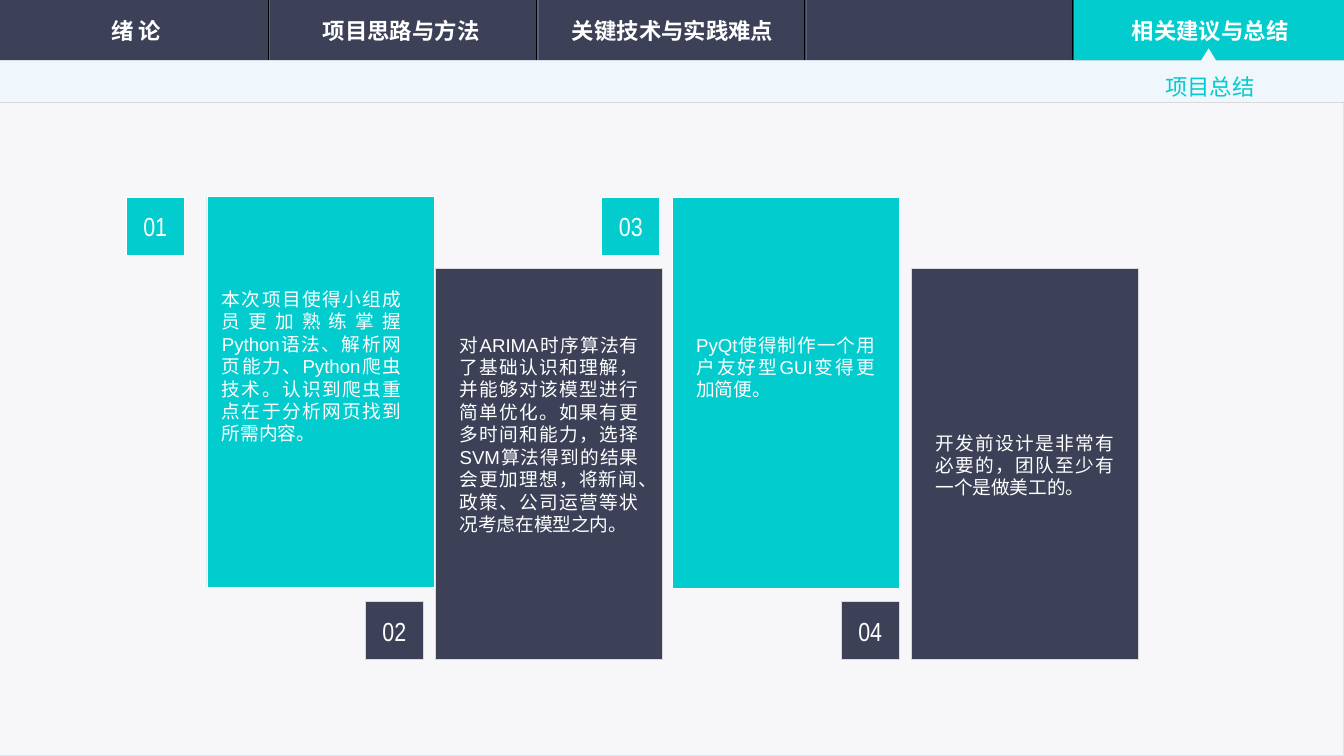
from dataclasses import dataclass
from lxml import etree
from pptx import Presentation
from pptx import util as u
from pptx.dml.color import RGBColor
from pptx.enum import shapes, text
from pptx.oxml.ns import qn


@dataclass(frozen=True)
class Theme:
    """Colours, fonts and type sizes of the slide."""
    teal: str = "03CCCE"
    navy: str = "3C4157"
    slate: str = "3B445B"
    white: str = "FFFFFF"
    paper: str = "F7F7F9"
    frame: str = "D4E7F9"
    strip: str = "EFF6FC"
    grey: str = "D9D9D9"
    black: str = "000000"
    groove: str = "596181"
    cjk: str = "Noto Sans CJK SC"
    latin: str = "Arial"
    narrow: str = "Arial Narrow"
    body: int = 10
    nav: int = 12
    number: int = 14


T = Theme()
ALIGN = text.PP_ALIGN
ANCHOR = text.MSO_ANCHOR
WIDTH, HEIGHT = 720, 405
TAB_PITCH, TAB_W, TAB_H = 143.7, 143.3, 32.4
STRIP_BOTTOM = 54.7
PANEL_W, PANEL_H, BADGE = 121.7, 209.5, 31

TABS = [
    (1.4, "绪 论"),
    (143.3, "项目思路与方法"),
    (288.7, "关键技术与实践难点"),
    (576.7, "相关建议与总结"),
]

PANELS = [
    dict(box=(110.9, 105.1), number="01", badge=(-43.2, 0.7), inset=(8, 49, 85),
         fill=T.teal, line=T.white,
         body="本次项目使得小组成员更加熟练掌握Python语法、解析网页能力、Python爬虫技术。"
              "认识到爬虫重点在于分析网页找到所需内容。"),
    dict(box=(233.3, 144), number="02", badge=(-37.5, 178.5), inset=(13, 34.6, 108.7),
         fill=T.navy, line=T.grey,
         body="对ARIMA时序算法有了基础认识和理解，并能够对该模型进行简单优化。"
              "如果有更多时间和能力，选择SVM算法得到的结果会更加理想，"
              "将新闻、政策、公司运营等状况考虑在模型之内。"),
    dict(box=(360, 105.8), number="03", badge=(-37.5, 0), inset=(13, 72.8, 36),
         fill=T.teal, line=T.white,
         body="PyQt使得制作一个用户友好型GUI变得更加简便。"),
    dict(box=(488.2, 144), number="04", badge=(-37.5, 178.5), inset=(13, 87.1, 36),
         fill=T.navy, line=T.grey,
         body="开发前设计是非常有必要的，团队至少有一个是做美工的。"),
]


def rgb(color):
    """Turn a hex string into a colour."""
    return RGBColor.from_string(color)


def paint(sp, fill, line=None):
    """Give a shape a flat fill and an optional half-point outline."""
    sp.shadow.inherit = False
    sp.fill.solid()
    sp.fill.fore_color.rgb = rgb(fill)
    if line:
        sp.line.color.rgb = rgb(line)
        sp.line.width = u.Pt(0.5)
    else:
        sp.line.fill.background()
    return sp


def rect(s, x, y, w, h, fill, line=None):
    """Add a painted rectangle."""
    kind = shapes.MSO_SHAPE.RECTANGLE
    return paint(s.shapes.add_shape(kind, u.Pt(x), u.Pt(y), u.Pt(w), u.Pt(h)), fill, line)


def rule(s, x1, y1, x2, y2, color, width=0.5):
    """Add a straight line."""
    ln = s.shapes.add_connector(shapes.MSO_CONNECTOR.STRAIGHT,
                                u.Pt(x1), u.Pt(y1), u.Pt(x2), u.Pt(y2))
    ln.line.color.rgb = rgb(color)
    ln.line.width = u.Pt(width)
    etree.SubElement(ln._element.spPr, qn("a:effectLst"))


def write(sp, words, size, font, color=T.white, align=ALIGN.CENTER,
          anchor=ANCHOR.MIDDLE, bold=False, wrap=True):
    """Fill a shape with one formatted paragraph."""
    tf = sp.text_frame
    tf.word_wrap = wrap
    tf.vertical_anchor = anchor
    p = tf.paragraphs[0]
    p.text = words
    p.alignment = align
    p.font.size = u.Pt(size)
    p.font.bold = bold
    p.font.color.rgb = rgb(color)
    p.font.name = font
    etree.SubElement(p.font._rPr, qn("a:ea"), typeface=T.cjk)
    return tf


def textbox(s, x, y, w, h):
    """Add an empty text box."""
    return s.shapes.add_textbox(u.Pt(x), u.Pt(y), u.Pt(w), u.Pt(h))


def soft_shadow(sp):
    """Add a faint blurred shadow."""
    effects = sp._element.spPr.find(qn("a:effectLst"))
    shadow = etree.SubElement(effects, qn("a:outerShdw"), blurRad=str(u.Pt(3)),
                              dist="0", dir="16200000")
    tint = etree.SubElement(shadow, qn("a:srgbClr"), val=T.black)
    etree.SubElement(tint, qn("a:alpha"), val="20000")


def backdrop(s):
    """Draw the gradient background and the page."""
    fill = s.background.fill
    fill.gradient()
    fill.gradient_angle = 45
    for stop, color in zip(fill.gradient_stops, (T.teal, T.slate)):
        stop.color.rgb = rgb(color)
    rect(s, 0, TAB_H, WIDTH, HEIGHT - TAB_H, T.paper, T.frame)


def nav_bar(s, x, y, w, h):
    """Draw the tab bar with its grooves, active tab and labels."""
    rect(s, x, y, w, h, T.navy)
    for i in range(1, 5):
        edge = x + i * TAB_PITCH
        rule(s, edge, y, edge, y + h, T.black)
        rule(s, edge + 0.8, y, edge + 0.8, y + h, T.groove, 0.75)
    active = x + 4 * TAB_PITCH + 0.5
    soft_shadow(rect(s, active, y, x + w - active, h, T.teal))
    for left, label in TABS:
        write(textbox(s, x + left, y + 5, TAB_W, 22.3), label, T.nav, T.cjk, bold=True)


def sub_strip(s, x, y, w, h):
    """Draw the strip with its pointer and place the title in it."""
    tip = x + 647.5
    points = [(tip, y - 6.5), (tip + 4, y), (x + w, y), (x + w, y + h),
              (x, y + h), (x, y), (tip - 4, y)]
    outline = [(u.Pt(px), u.Pt(py)) for px, py in points]
    builder = s.shapes.build_freeform(*outline[0], scale=1.0)
    builder.add_line_segments(outline[1:], close=True)
    paint(builder.convert_to_shape(), T.strip)
    rule(s, x, y + h, x + w, y + h, T.grey)
    title = s.shapes.title
    title.left, title.top = u.Pt(x + 617), u.Pt(y - 2.9)
    title.width, title.height = u.Pt(63.4), u.Pt(26.6)
    tf = write(title, "项目总结", T.nav, T.cjk, T.teal, ALIGN.LEFT, wrap=False)
    tf.auto_size = text.MSO_AUTO_SIZE.NONE
    tf.paragraphs[0].line_spacing = 1.5
    s.shapes._spTree.append(title._element)


def panel(s, box, number, badge, inset, fill, line, body):
    """Draw one numbered panel with its badge and text."""
    x, y = box
    rect(s, x, y, PANEL_W, PANEL_H, fill, line)
    dx, dy, height = inset
    tf = write(textbox(s, x + dx, y + dy, 95.8, height), body, T.body, T.latin,
               align=ALIGN.JUSTIFY, anchor=ANCHOR.TOP)
    tf.margin_left = tf.margin_right = tf.margin_top = tf.margin_bottom = 0
    tag = rect(s, x + badge[0], y + badge[1], BADGE, BADGE, fill, line)
    write(tag, number, T.number, T.narrow)


def main():
    """Build and save the slide."""
    prs = Presentation()
    prs.slide_width, prs.slide_height = u.Pt(WIDTH), u.Pt(HEIGHT)
    s = prs.slides.add_slide(prs.slide_layouts[5])
    backdrop(s)
    nav_bar(s, 0, 0, WIDTH, TAB_H)
    sub_strip(s, 0, TAB_H, WIDTH, STRIP_BOTTOM - TAB_H)
    for item in PANELS:
        panel(s, **item)
    prs.save("out.pptx")


main()
